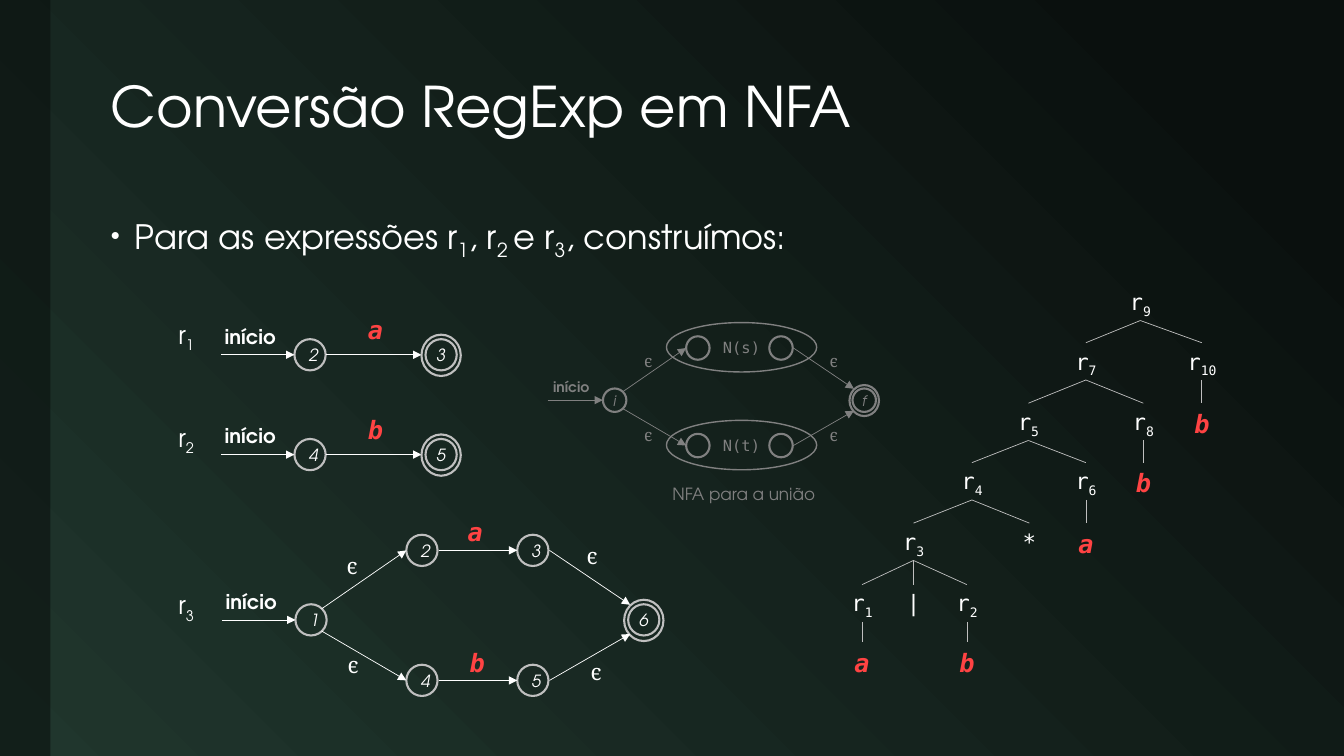
from dataclasses import dataclass

from lxml import etree
from pptx import Presentation
from pptx.dml.color import RGBColor
from pptx.enum import shapes, text
from pptx.oxml import ns
from pptx.util import Inches, Pt


@dataclass(frozen=True)
class Ink:
    """Look of one automaton; scale 1 is a state 0.31 inches wide."""
    scale: float
    label: str
    ring: str
    start_size: float
    state_size: float
    epsilon_size: float
    epsilon_box: tuple


class Theme:
    dark, green = "0A100E", "20362D"
    white, grey, silver, red = "FFFFFF", "808080", "BFBFBF", "FF4343"
    body, mono, math = "TeX Gyre Adventor", "DejaVu Sans Mono", "Cambria"
    title_size, bullet_size, name_size, symbol_size = 40, 24, 18, 18
    tree_size, box_size, caption_size = 16, 11, 12
    bright = Ink(1, white, silver, 14, 12, 16, (0.31, 0.37))
    dim = Ink(0.75, grey, grey, 10, 10.5, 12, (0.28, 0.3))


TREE_ROWS = (2.81, 3.4, 4, 4.59, 5.19, 5.8, 6.37)
R3 = ("r~3~", 9.06, [("r~1~", 8.55, [("a", 8.55, [])]),
                     ("|", 9.06, []),
                     ("r~2~", 9.59, [("b", 9.59, [])])])
R5 = ("r~5~", 10.2, [("r~4~", 9.64, [R3, ("*", 10.21, [])]),
                     ("r~6~", 10.77, [("a", 10.77, [])])])
R7 = ("r~7~", 10.77, [R5, ("r~8~", 11.34, [("b", 11.34, [])])])
R9 = ("r~9~", 11.31, [R7, ("r~10~", 11.92, [("b", 11.92, [])])])


def rgb(color):
    return RGBColor.from_string(color)


def write(tf, content, size, font=Theme.body, color=Theme.white, bold=False, italic=False,
          align=text.PP_ALIGN.LEFT, anchor=text.MSO_ANCHOR.TOP, wrap=False, spacing=None):
    """Fill a text frame; parts between ~ signs become subscripts."""
    tf.auto_size = text.MSO_AUTO_SIZE.NONE
    tf.word_wrap, tf.vertical_anchor = wrap, anchor
    p = tf.paragraphs[0]
    p.alignment, p.line_spacing = align, spacing
    for i, part in enumerate(content.split("~")):
        if not part:
            continue
        r = p.add_run()
        r.text = part
        f = r.font
        f.name, f.size, f.bold, f.italic = font, Pt(size), bold, italic
        f.color.rgb = rgb(color)
        if i % 2:
            r._r.get_or_add_rPr().set("baseline", "-25000")
    return p


class Board:
    def __init__(self, prs, theme):
        self.theme = theme
        self.slide = prs.slides.add_slide(prs.slide_layouts[5])

    def backdrop(self):
        t = self.theme
        fill = self.slide.background.fill
        fill.gradient()
        fill.gradient_angle = 225
        for stop, color, pos in zip(fill.gradient_stops, (t.dark, t.green), (0.1, 1)):
            stop.color.rgb, stop.position = rgb(color), pos
        bar = self.slide.shapes.add_shape(
            shapes.MSO_SHAPE.RECTANGLE, 0, 0, Inches(0.5), Inches(7.5))
        bar.shadow.inherit = False
        bar.line.fill.background()
        bar.fill.solid()
        bar.fill.fore_color.rgb = rgb(t.dark)
        clr = bar._element.spPr.find(".//" + ns.qn("a:srgbClr"))
        etree.SubElement(clr, ns.qn("a:alpha")).set("val", "60000")

    def title(self, content):
        sp = self.slide.shapes.title
        sp.left, sp.top, sp.width, sp.height = map(Inches, (1, 0.42, 11.65, 1.33))
        write(sp.text_frame, content, self.theme.title_size, wrap=True,
              anchor=text.MSO_ANCHOR.MIDDLE, spacing=0.9)

    def label(self, x, y, w, h, content, size, **fmt):
        sp = self.slide.shapes.add_textbox(*map(Inches, (x, y, w, h)))
        return sp, write(sp.text_frame, content, size, **fmt)

    def bullet(self, content):
        _, p = self.label(1, 2, 11.65, 4.83, content, self.theme.bullet_size,
                          wrap=True, spacing=1.2)
        p.space_before = Pt(18)
        pPr = p._p.get_or_add_pPr()
        pPr.set("marL", str(Inches(0.24)))
        pPr.set("indent", str(-Inches(0.24)))
        etree.SubElement(pPr, ns.qn("a:buSzPct")).set("val", "80000")
        etree.SubElement(pPr, ns.qn("a:buChar")).set("char", "•")

    def symbol(self, x, y, content):
        t = self.theme
        self.label(x, y, 0.34, 0.4, content, t.symbol_size, font=t.mono,
                   color=t.red, bold=True, italic=True)

    def line(self, start, end, color, arrow=False):
        c = self.slide.shapes.add_connector(
            shapes.MSO_CONNECTOR.STRAIGHT, *map(Inches, (*start, *end)))
        c.line.color.rgb, c.line.width = rgb(color), Pt(0.5)
        if arrow:
            etree.SubElement(c.line._get_or_add_ln(), ns.qn("a:tailEnd")).set("type", "triangle")
        etree.SubElement(c._element.spPr, ns.qn("a:effectLst"))
        return c

    def ellipse(self, x, y, w, h, color, width=1.5):
        sp = self.slide.shapes.add_shape(shapes.MSO_SHAPE.OVAL, *map(Inches, (x, y, w, h)))
        sp.shadow.inherit = False
        sp.fill.background()
        sp.line.color.rgb, sp.line.width = rgb(color), Pt(width)
        return sp

    def state(self, x, cy, name, ink, final=False):
        """Circle with its left edge at x; a final state gets a second ring."""
        k = ink.scale
        d = 0.31 * k
        if final:
            self.ellipse(x - 0.04 * k, cy - 0.2 * k, 0.39 * k, 0.41 * k, ink.ring)
        sp = self.ellipse(x, cy - d / 2, d, d, ink.ring)
        if name:
            tf = sp.text_frame
            if final:
                tf.margin_left = tf.margin_right = tf.margin_top = tf.margin_bottom = 0
            write(tf, name, ink.state_size, color=ink.label, italic=True, wrap=True,
                  align=text.PP_ALIGN.CENTER, anchor=text.MSO_ANCHOR.MIDDLE)

    def start(self, x, cy, name, ink):
        k = ink.scale
        self.state(x, cy, name, ink)
        self.line((x - 0.73 * k, cy), (x, cy), ink.label, arrow=True)
        self.label(x - 0.79 * k, cy - 0.35 * k, 0.71 * k, 0.34 * k, "início",
                   ink.start_size, color=ink.label, bold=True)

    def single(self, x, cy, first, symbol, last):
        ink = self.theme.bright
        self.start(x, cy, first, ink)
        self.line((x + 0.31, cy), (x + 1.26, cy), ink.label, arrow=True)
        self.state(x + 1.3, cy, last, ink, final=True)
        self.symbol(x + 0.63, cy - 0.45, symbol)

    def union(self, x, cy, ink, first, branches, last, epsilons):
        """Two branches, each a pair of state names, between two epsilon moves."""
        k = ink.scale

        def at(dx, dy):
            return x + dx * k, cy + dy * k

        self.start(x, cy, first, ink)
        self.state(*at(3.3, 0), last, ink, final=True)
        for names, dy, leave, arrive in zip(branches, (-0.69, 0.6), (-0.11, 0.11), (-0.15, 0.14)):
            for name, dx in zip(names, (1.1, 2.2)):
                self.state(*at(dx, dy), name, ink)
            self.line(at(0.26, leave), at(1.1, dy), ink.label, arrow=True)
            self.line(at(2.52, dy), at(3.32, arrive), ink.label, arrow=True)
        for ex, ey in epsilons:
            self.label(ex, ey, *ink.epsilon_box, "ϵ", ink.epsilon_size,
                       font=self.theme.math, color=ink.label)

    def subautomaton(self, x, cy, name):
        t = self.theme
        sp = self.ellipse(x, cy - 0.25, 1.49, 0.49, t.grey, width=1)
        write(sp.text_frame, name, t.box_size, font=t.mono, color=t.grey, wrap=True,
              align=text.PP_ALIGN.CENTER, anchor=text.MSO_ANCHOR.MIDDLE)

    def tree(self, node, depth=0):
        """Draw a node and, below it, its children; return the node's box."""
        t = self.theme
        content, cx, children = node
        leaf = content in "ab"
        box, _ = self.label(
            cx - 0.255, TREE_ROWS[depth], 0.51, 0.4 if leaf else 0.37, content,
            t.symbol_size if leaf else t.tree_size, font=t.mono, bold=leaf, italic=leaf,
            color=t.red if leaf else t.white, align=text.PP_ALIGN.CENTER, wrap=True)
        for child in children:
            edge = self.line((0, 0), (1, 1), t.silver)
            edge.begin_connect(box, 2)
            edge.end_connect(self.tree(child, depth + 1), 0)
        return box


def main():
    prs = Presentation()
    prs.slide_width, prs.slide_height = Inches(13.33), Inches(7.5)
    t = Theme()
    board = Board(prs, t)
    board.backdrop()
    board.title("Conversão RegExp em NFA")
    board.bullet("Para as expressões r~1~, r~2 ~e r~3~, construímos:")
    board.tree(R9)

    for name, y in (("r~1~", 3.12), ("r~2~", 4.14), ("r~3~", 5.8)):
        board.label(1.67, y, 0.37, 0.4, name, t.name_size)
    board.single(2.92, 3.52, "2", "a", "3")
    board.single(2.92, 4.51, "4", "b", "5")

    board.union(2.93, 6.15, t.bright, "1", ("23", "45"), "6",
                ((3.34, 5.43), (3.35, 6.41), (5.72, 5.33), (5.76, 6.48)))
    for symbol, x, y, cy in (("a", 4.54, 5.07, 5.46), ("b", 4.56, 6.37, 6.75)):
        board.line((4.35, cy), (5.13, cy), t.white, arrow=True)
        board.symbol(x, y, symbol)

    board.union(5.98, 3.97, t.dim, "i", (("", ""), ("", "")), "f",
                [(x, y) for x in (6.29, 8.13) for y in (3.43, 4.16)])
    board.subautomaton(6.61, 3.45, "N(s)")
    board.subautomaton(6.61, 4.42, "N(t)")
    board.label(6.57, 4.75, 1.65, 0.3, "NFA para a união", t.caption_size, color=t.grey)
    prs.save("out.pptx")


if __name__ == "__main__":
    main()
